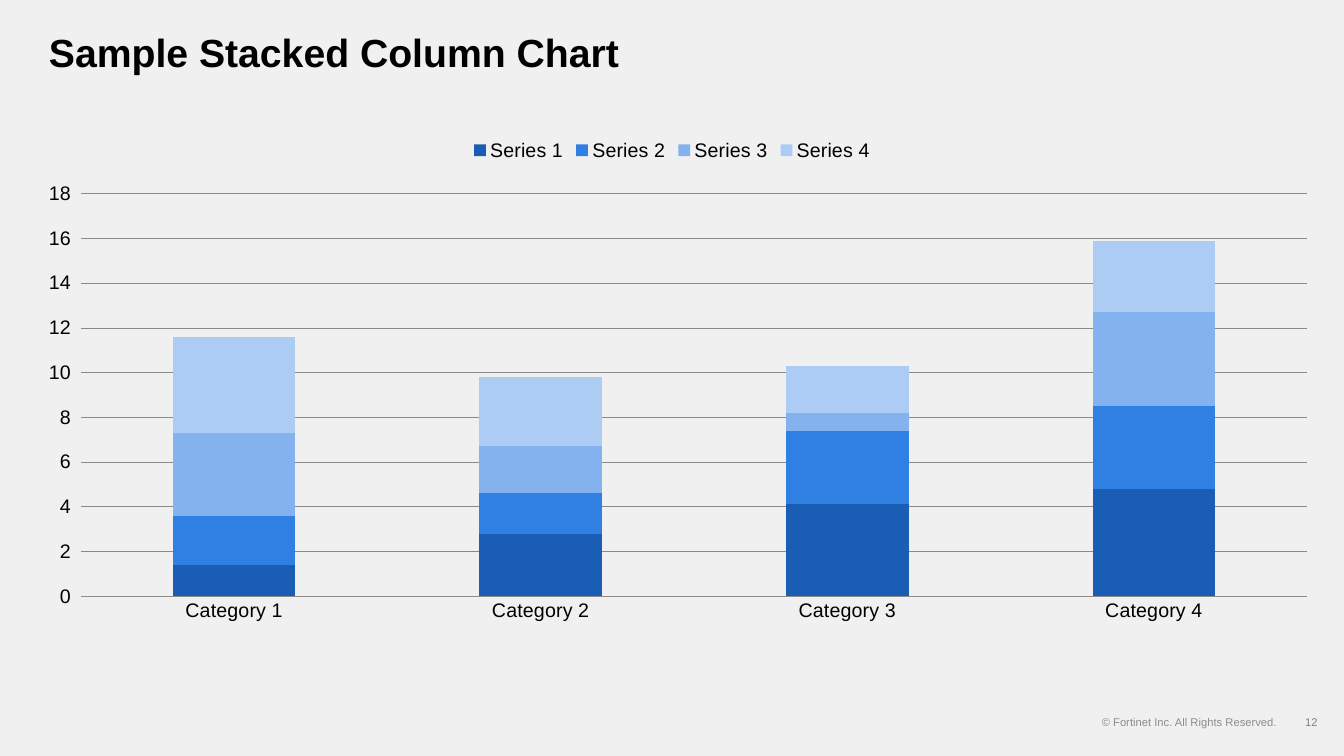
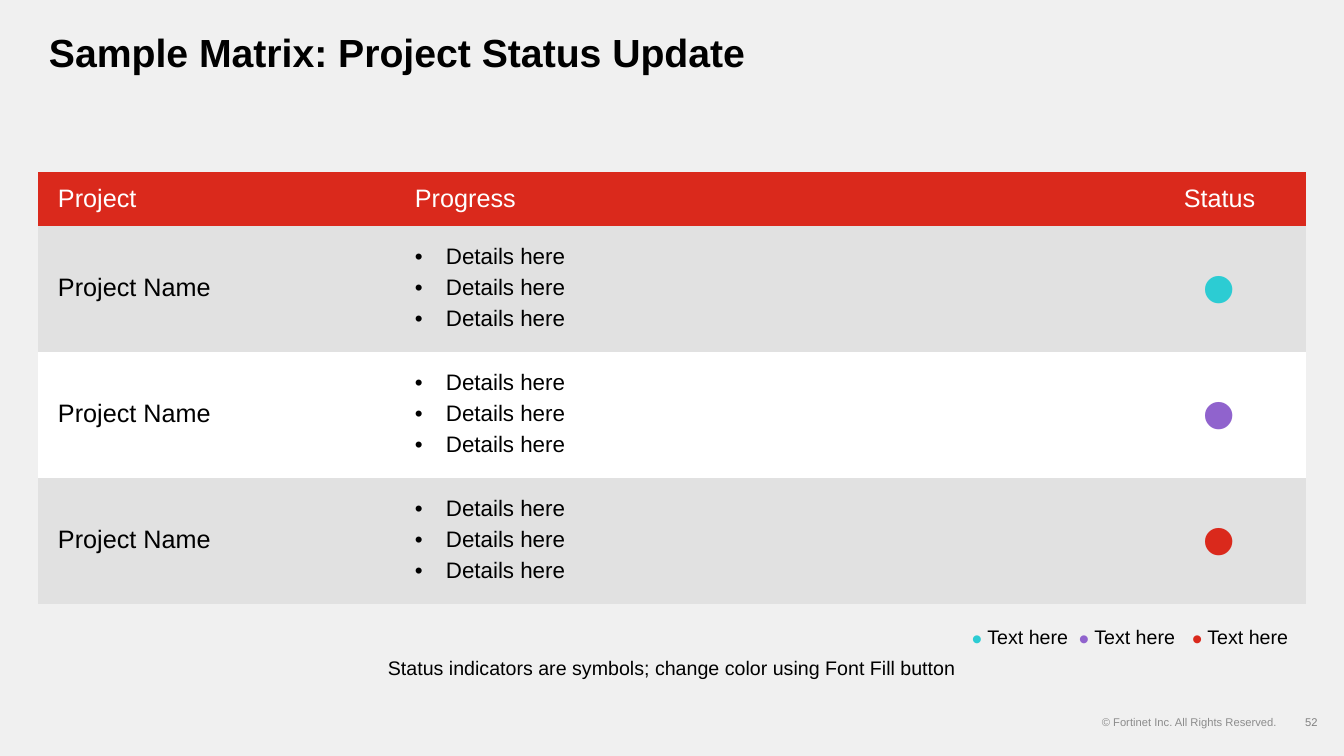
from lxml import etree
from pptx import Presentation
from pptx import util as u
from pptx.chart import data
from pptx.dml import color
from pptx.enum import chart as ch, text as t
from pptx.oxml import ns

SCALE = 914400 / 100.8
FONT = "Arial"
PAGE, BLACK, WHITE = "F0F0F0", "000000", "FFFFFF"
GRAY, PALE, GRID = "808080", "8C8C8C", "898989"
RED, TEAL, PLUM, BAND = "DA291C", "2CCCD3", "9063CD", "E1E1E1"
BLUES = ["195EB4", "307FE2", "83B2EE", "ACCCF3"]
LEFT, MID, RIGHT = t.PP_ALIGN.LEFT, t.PP_ALIGN.CENTER, t.PP_ALIGN.RIGHT
NO_GRID = "{2D5ABB26-0587-4C30-8999-92F81FD0307C}"


def px(n):
    return u.Emu(round(n * SCALE))


def rgb(code):
    return color.RGBColor.from_string(code)


def sub(node, tag, **attrs):
    """Append a child element such as a:tab."""
    child = etree.SubElement(node, ns.qn(tag))
    for key, val in attrs.items():
        child.set(key, str(val))
    return child


def ink(font, size, code, bold=False):
    font.name, font.size, font.bold = FONT, u.Pt(size), bold
    font.color.rgb = rgb(code)


class Deck:
    def __init__(self):
        self.prs = Presentation()
        self.prs.slide_width, self.prs.slide_height = px(1344), px(756)
        self.slide = None

    # Shared page: background, title, footer
    def page(self, title, num):
        self.slide = self.prs.slides.add_slide(self.prs.slide_layouts[6])
        fill = self.slide.background.fill
        fill.solid()
        fill.fore_color.rgb = rgb(PAGE)
        self.text(1286, 707, 51, 30, [(num, 8, GRAY)], MID, mid=True)
        self.text(1086, 707, 201, 30,
                  [("© Fortinet Inc. All Rights Reserved.", 8, PALE)], RIGHT, mid=True)
        self.text(39, 29, 1249, 50, [(title, 28, BLACK)], bold=True, line=0.9)

    def runs(self, para, parts, align=LEFT, bold=False, line=None):
        """Each part is text, size, colour and, if lowered, a baseline."""
        para.alignment = align
        if line:
            para.line_spacing = line
        for words, size, code, *base in parts:
            run = para.add_run()
            run.text = words
            ink(run.font, size, code, bold)
            if base:
                run.font._element.set("baseline", str(base[0]))

    def text(self, x, y, w, h, parts, align=LEFT, bold=False, line=None,
             mid=False, flush=False, tabs=()):
        frame = self.slide.shapes.add_textbox(px(x), px(y), px(w), px(h)).text_frame
        frame.word_wrap = True
        frame.vertical_anchor = t.MSO_ANCHOR.MIDDLE if mid else t.MSO_ANCHOR.TOP
        if flush:
            frame.margin_left = frame.margin_right = 0
            frame.margin_top = frame.margin_bottom = 0
        para = frame.paragraphs[0]
        if tabs:
            stops = sub(para._p.get_or_add_pPr(), "a:tabLst")
            for stop in tabs:
                sub(stops, "a:tab", pos=px(stop), algn="l")
        self.runs(para, parts, align, bold, line)

    # Stacked columns
    def chart(self, x, y, w, h, cats, rows, plot):
        book = data.CategoryChartData()
        book.categories = cats
        for name, vals in rows:
            book.add_series(name, vals)
        chart = self.slide.shapes.add_chart(
            ch.XL_CHART_TYPE.COLUMN_STACKED, px(x), px(y), px(w), px(h), book).chart
        ink(chart.font, 14, BLACK)
        chart.has_title = False
        chart.has_legend = True
        chart.legend.position = ch.XL_LEGEND_POSITION.TOP
        chart.legend.include_in_layout = False
        ink(chart.legend.font, 14, BLACK)

        bars = chart.plots[0]
        bars.gap_width, bars.overlap = 150, 100
        bars.vary_by_categories = False
        for series, code in zip(bars.series, BLUES):
            series.format.fill.solid()
            series.format.fill.fore_color.rgb = rgb(code)

        base, side = chart.category_axis, chart.value_axis
        for axis in (base, side):
            ink(axis.tick_labels.font, 14, BLACK)
        base.major_tick_mark = ch.XL_TICK_MARK.NONE
        side.major_tick_mark = ch.XL_TICK_MARK.OUTSIDE
        side.minimum_scale, side.maximum_scale, side.major_unit = 0, 18, 2
        side.format.line.fill.background()
        for line, code in ((base.format.line, PALE),
                           (side.major_gridlines.format.line, GRID)):
            line.color.rgb, line.width = rgb(code), u.Pt(0.5)
        self.place(chart, plot)

    def place(self, chart, plot):
        """Fix the inner plot area as fractions of the chart."""
        area = chart._chartSpace.find(".//" + ns.qn("c:plotArea"))
        for old in area.findall(ns.qn("c:layout")):
            area.remove(old)
        layout = sub(area, "c:layout")
        area.insert(0, layout)
        box = sub(layout, "c:manualLayout")
        sub(box, "c:layoutTarget", val="inner")
        for key in "xy":
            sub(box, f"c:{key}Mode", val="edge")
        for key, val in zip("xywh", plot):
            sub(box, f"c:{key}", val=val)

    # Table
    def table(self, x, y, cols, rows):
        grid = self.slide.shapes.add_table(
            len(rows), len(cols), px(x), px(y), px(sum(cols)), px(sum(rows))).table
        grid.first_row = grid.horz_banding = False
        grid._tbl.tblPr.find(ns.qn("a:tableStyleId")).text = NO_GRID
        for col, w in zip(grid.columns, cols):
            col.width = px(w)
        for row, h in zip(grid.rows, rows):
            row.height = px(h)
        return grid

    def cell(self, cell, fill, lines, size, code, align=LEFT, pad=11,
             line=None, dots=False):
        cell.fill.solid()
        cell.fill.fore_color.rgb = rgb(fill)
        cell.vertical_anchor = t.MSO_ANCHOR.MIDDLE
        cell.margin_left = cell.margin_right = px(20)
        cell.margin_top = cell.margin_bottom = px(pad)
        frame = cell.text_frame
        for i, words in enumerate(lines):
            para = frame.add_paragraph() if i else frame.paragraphs[0]
            if dots:
                self.bullet(para)
                para.space_after = u.Pt(6)
            self.runs(para, [(words, size, code)], align, line=line)

    def bullet(self, para):
        prop = para._p.get_or_add_pPr()
        prop.set("marL", str(px(31)))
        prop.set("indent", str(px(-31)))
        sub(sub(prop, "a:buClr"), "a:srgbClr", val=BLACK)
        sub(prop, "a:buFont", typeface=FONT)
        sub(prop, "a:buChar", char="•")


def columns(deck):
    deck.page("Sample Stacked Column Chart", "12")
    vals = [(1.4, 2.8, 4.1, 4.8), (2.2, 1.8, 3.3, 3.7),
            (3.7, 2.1, 0.8, 4.2), (4.3, 3.1, 2.1, 3.2)]
    deck.chart(21, 128, 1302, 518,
               [f"Category {i}" for i in range(1, 5)],
               [(f"Series {i}", row) for i, row in enumerate(vals, 1)],
               (0.046, 0.127, 0.942, 0.777))


def matrix(deck):
    deck.page("Sample Matrix: Project Status Update", "52")
    marks = [TEAL, PLUM, RED]
    grid = deck.table(38, 172, [357, 738, 173], [54] + [126] * 3)
    heads = [("Project", LEFT), ("Progress", LEFT), ("Status", MID)]
    for i, (head, align) in enumerate(heads):
        deck.cell(grid.cell(0, i), RED, [head], 18, WHITE, align)
    for i, mark in enumerate(marks, 1):
        fill = BAND if i % 2 else WHITE
        deck.cell(grid.cell(i, 0), fill, ["Project Name"], 18, BLACK, line=0.9)
        deck.cell(grid.cell(i, 1), fill, ["Details here"] * 3, 16, BLACK,
                  line=0.9, dots=True)
        deck.cell(grid.cell(i, 2), fill, ["•"], 72, mark, MID, pad=0)

    # Key to the status marks
    key = []
    for mark in marks:
        tail = "" if mark == marks[-1] else "\t"
        key += [("•", 36, mark, -10000), (" Text here" + tail, 14, BLACK)]
    deck.text(972, 608, 330, 33, key, mid=True, flush=True, tabs=(107, 220))
    deck.text(67, 656, 1210, 25,
              [("Status indicators are symbols; change color using Font Fill button",
                14, BLACK)], MID, flush=True)


def main():
    deck = Deck()
    columns(deck)
    matrix(deck)
    deck.prs.save("out.pptx")


if __name__ == "__main__":
    main()
